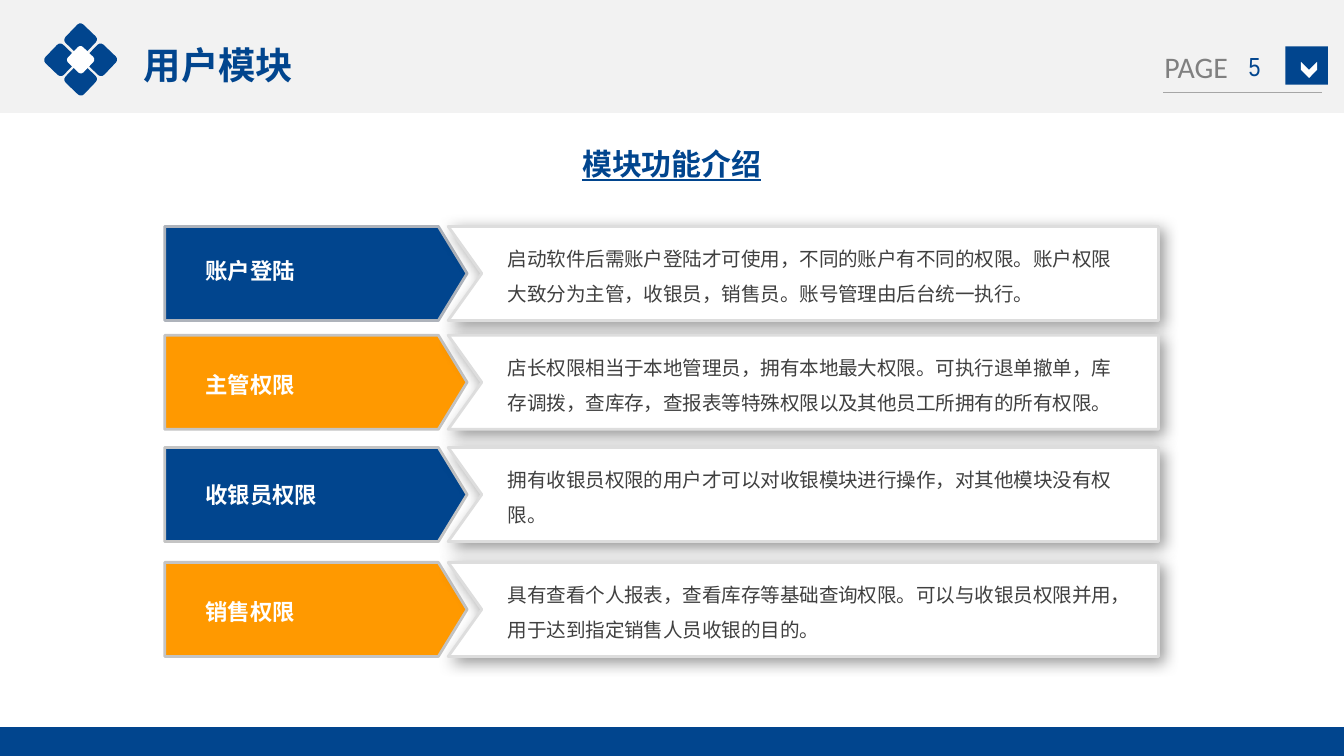
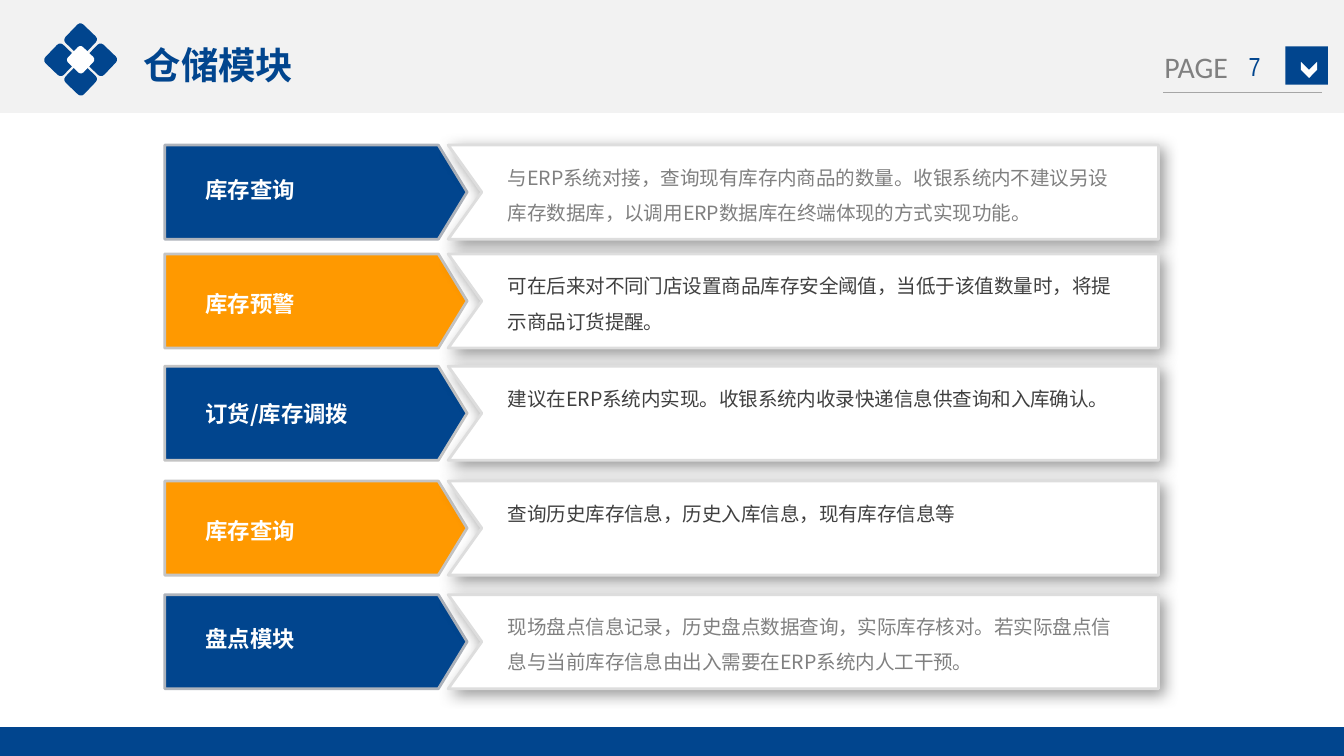
import lxml.etree
import pptx
import pptx.dml.color
import pptx.enum.shapes
import pptx.enum.text
import pptx.oxml.ns
import pptx.util

PX = 4572
WIDTH, HEIGHT = 2000, 1125
BLUE, ORANGE, WHITE = "01458E", "FF9900", "FFFFFF"
GREY, DARK, PALE = "808080", "404040", "F2F2F2"
CJK = "Noto Sans CJK SC"
SHAPE = pptx.enum.shapes.MSO_SHAPE
ANCHOR = pptx.enum.text.MSO_ANCHOR
ALIGN = pptx.enum.text.PP_ALIGN
AUTO_SIZE = pptx.enum.text.MSO_AUTO_SIZE

TITLE = {"size": 20, "name": CJK, "color": BLUE, "bold": True}
HEADING = {"size": 16, "name": CJK, "color": BLUE, "bold": True, "underline": True}
LABEL = {"size": 12, "name": CJK, "color": WHITE, "bold": True}
BODY = {"size": 10.5, "name": CJK, "color": DARK}
MUTED = {**BODY, "color": GREY}
PAGE_WORD = {"size": 16, "name": "Calibri", "color": GREY}
PAGE_NUMBER = {"size": 14, "name": "Arial Narrow", "color": BLUE}

ROW_HEIGHT = 140
ROW_STYLES = [
    {"offset": 0, "label_offset": 28, "fill": BLUE, "border": "AEB3BB"},
    {"offset": 162, "label_offset": 36, "fill": ORANGE, "border": "C4C4C4"},
    {"offset": 329, "label_offset": 32, "fill": BLUE, "border": "C4C4C4"},
    {"offset": 500, "label_offset": 36, "fill": ORANGE, "border": "C4C4C4"},
    {"offset": 669, "label_offset": 28, "fill": BLUE, "border": "AEB3BB"},
]
USER_ROWS = [
    ("账户登陆", "启动软件后需账户登陆才可使用，不同的账户有不同的权限。账户权限大致分为主管，收银员，销售员。账号管理由后台统一执行。", BODY),
    ("主管权限", "店长权限相当于本地管理员，拥有本地最大权限。可执行退单撤单，库存调拨，查库存，查报表等特殊权限以及其他员工所拥有的所有权限。", BODY),
    ("收银员权限", "拥有收银员权限的用户才可以对收银模块进行操作，对其他模块没有权限。", BODY),
    ("销售权限", "具有查看个人报表，查看库存等基础查询权限。可以与收银员权限并用，用于达到指定销售人员收银的目的。", BODY),
]
STOCK_ROWS = [
    ("库存查询", "与ERP系统对接，查询现有库存内商品的数量。收银系统内不建议另设库存数据库，以调用ERP数据库在终端体现的方式实现功能。", MUTED),
    ("库存预警", "可在后来对不同门店设置商品库存安全阈值，当低于该值数量时，将提示商品订货提醒。", BODY),
    ("订货/库存调拨", "建议在ERP系统内实现。收银系统内收录快递信息供查询和入库确认。", BODY),
    ("库存查询", "查询历史库存信息，历史入库信息，现有库存信息等", BODY),
    ("盘点模块", "现场盘点信息记录，历史盘点数据查询，实际库存核对。若实际盘点信息与当前库存信息由出入需要在ERP系统内人工干预。", MUTED),
]


def px(*lengths):
    """Turn px lengths into EMU."""
    return [pptx.util.Emu(length * PX) for length in lengths]


def rgb(value):
    """Turn a hex string into a colour."""
    return pptx.dml.color.RGBColor.from_string(value)


def add_xml(parent, tag, **attributes):
    """Append a DrawingML child element."""
    return lxml.etree.SubElement(parent, pptx.oxml.ns.qn(tag), attributes)


def paint(shape, fill, border=None):
    """Set fill and border and drop the inherited shadow."""
    shape.shadow.inherit = False
    shape.fill.solid()
    shape.fill.fore_color.rgb = rgb(fill)
    if border:
        shape.line.color.rgb = rgb(border)
        shape.line.width = pptx.util.Pt(1.5)
    else:
        shape.line.fill.background()


def add_figure(shapes, kind, box, fill, border=None, rotation=0):
    """Add a painted preset shape."""
    shape = shapes.add_shape(kind, *px(*box))
    shape.rotation = rotation
    paint(shape, fill, border)
    return shape


def write(shape, text, style, frame_format=None, paragraph_format=None):
    """Write one formatted run into a shape."""
    frame = shape.text_frame
    paragraph = frame.paragraphs[0]
    run = paragraph.add_run()
    run.text = text
    font_format = {**style, "size": pptx.util.Pt(style["size"])}
    run.font.color.rgb = rgb(font_format.pop("color"))
    frame_format = {
        "word_wrap": True,
        "vertical_anchor": ANCHOR.TOP,
        "auto_size": AUTO_SIZE.SHAPE_TO_FIT_TEXT,
        **(frame_format or {}),
    }
    paragraph_format = {"alignment": ALIGN.LEFT, **(paragraph_format or {})}
    for target, values in (
        (frame, frame_format),
        (paragraph, paragraph_format),
        (run.font, font_format),
    ):
        for name, value in values.items():
            setattr(target, name, value)
    add_xml(run.font._element, "a:ea", typeface=style["name"])


def add_text(shapes, box, *content):
    """Add a text box."""
    write(shapes.add_textbox(*px(*box)), *content)


def add_rule(shapes, start, end, color):
    """Add a thin straight line."""
    line = shapes.add_connector(pptx.enum.shapes.MSO_CONNECTOR.STRAIGHT, *px(*start, *end))
    line.line.color.rgb = rgb(color)
    line.line.width = pptx.util.Pt(0.75)
    add_xml(line.element.spPr, "a:effectLst")


def build_frame(slide, layout):
    """Draw the bands and page marker and hand them to the layout."""
    for placeholder in list(layout.placeholders):
        if placeholder.placeholder_format.idx >= 10:
            layout.shapes.element.remove(placeholder.element)
    shapes = slide.shapes
    kept = len(shapes)
    add_figure(shapes, SHAPE.RECTANGLE, (0, 0, WIDTH, 168), PALE)
    add_figure(shapes, SHAPE.RECTANGLE, (0, 1082, WIDTH, HEIGHT - 1082), BLUE)
    add_text(shapes, (1713, 63, 136, 74), "PAGE", PAGE_WORD, {"word_wrap": False})
    add_figure(shapes, SHAPE.RECTANGLE, (1913, 69, 63, 57), BLUE)
    add_figure(shapes, SHAPE.CHEVRON, (1936, 92, 24, 24), WHITE, rotation=90)
    add_rule(shapes, (1731, 138), (1967, 138), "A6A6A6")
    for shape in list(shapes)[kept:]:
        layout.shapes.element.append(shape.element)


def add_emblem(slide):
    """Add four blue diamonds around a white one."""
    shapes = slide.shapes.add_group_shape().shapes
    for left, top in ((101, 40), (71, 70), (131, 70), (101, 99)):
        add_figure(shapes, SHAPE.ROUNDED_RECTANGLE, (left, top, 38, 38), BLUE, rotation=43.8)
    add_figure(shapes, SHAPE.ROUNDED_RECTANGLE, (104, 73, 32, 32), WHITE, rotation=43.8)


def add_panel(shapes, top):
    """Add a white notched panel with a soft shadow."""
    left, right, bottom = 667, 1724, top + ROW_HEIGHT
    builder = shapes.build_freeform(left, top, scale=PX)
    builder.add_line_segments(
        [(right, top), (right, bottom), (left, bottom), (left + 50, top + ROW_HEIGHT // 2)]
    )
    panel = builder.convert_to_shape()
    paint(panel, WHITE, "DDDDDD")
    effects = panel.element.spPr.find(pptx.oxml.ns.qn("a:effectLst"))
    shadow = add_xml(
        effects, "a:outerShdw", blurRad=str(pptx.util.Pt(8)), dist=str(pptx.util.Pt(3)),
        dir="2700000", algn="tl", rotWithShape="0",
    )
    add_xml(add_xml(shadow, "a:srgbClr", val="000000"), "a:alpha", val="40000")


def add_rows(slide, first_top, rows):
    """Add the labelled arrow rows."""
    for (label, body, body_style), row in zip(rows, ROW_STYLES):
        top = first_top + row["offset"]
        shapes = slide.shapes.add_group_shape().shapes
        arrow = add_figure(
            shapes, SHAPE.PENTAGON, (245, top, 450, ROW_HEIGHT), row["fill"], row["border"]
        )
        arrow.adjustments[0] = 0.305
        add_panel(shapes, top)
        add_text(shapes, (736, top + 3, 948, 126), body, body_style, None, {"line_spacing": 1.5})
        label_box = (286, top + row["label_offset"], 380, 68)
        add_text(shapes, label_box, label, LABEL, None, {"line_spacing": 1.2})


def add_header(slide, title, number):
    """Fill the title and page number and add the emblem."""
    placeholder = slide.shapes.title
    for name, value in zip(("left", "top", "width", "height"), px(194, 53, 264, 88)):
        setattr(placeholder, name, value)
    write(placeholder, title, TITLE, {"word_wrap": False})
    add_text(
        slide.shapes, (1819, 68, 96, 60), number, PAGE_NUMBER,
        {"vertical_anchor": ANCHOR.MIDDLE, "auto_size": AUTO_SIZE.NONE},
        {"alignment": ALIGN.CENTER},
    )
    add_emblem(slide)


def main():
    """Build and save the two module slides."""
    presentation = pptx.Presentation()
    presentation.slide_width, presentation.slide_height = px(WIDTH, HEIGHT)
    layout = presentation.slide_layouts[5]
    user_slide = presentation.slides.add_slide(layout)
    build_frame(user_slide, layout)
    add_header(user_slide, "用户模块", "5")
    add_text(user_slide.shapes, (847, 207, 310, 74), "模块功能介绍", HEADING, {"word_wrap": False})
    add_rows(user_slide, 337, USER_ROWS)

    stock_slide = presentation.slides.add_slide(layout)
    add_header(stock_slide, "仓储模块", "7")
    add_rows(stock_slide, 216, STOCK_ROWS)
    presentation.save("out.pptx")


if __name__ == "__main__":
    main()
